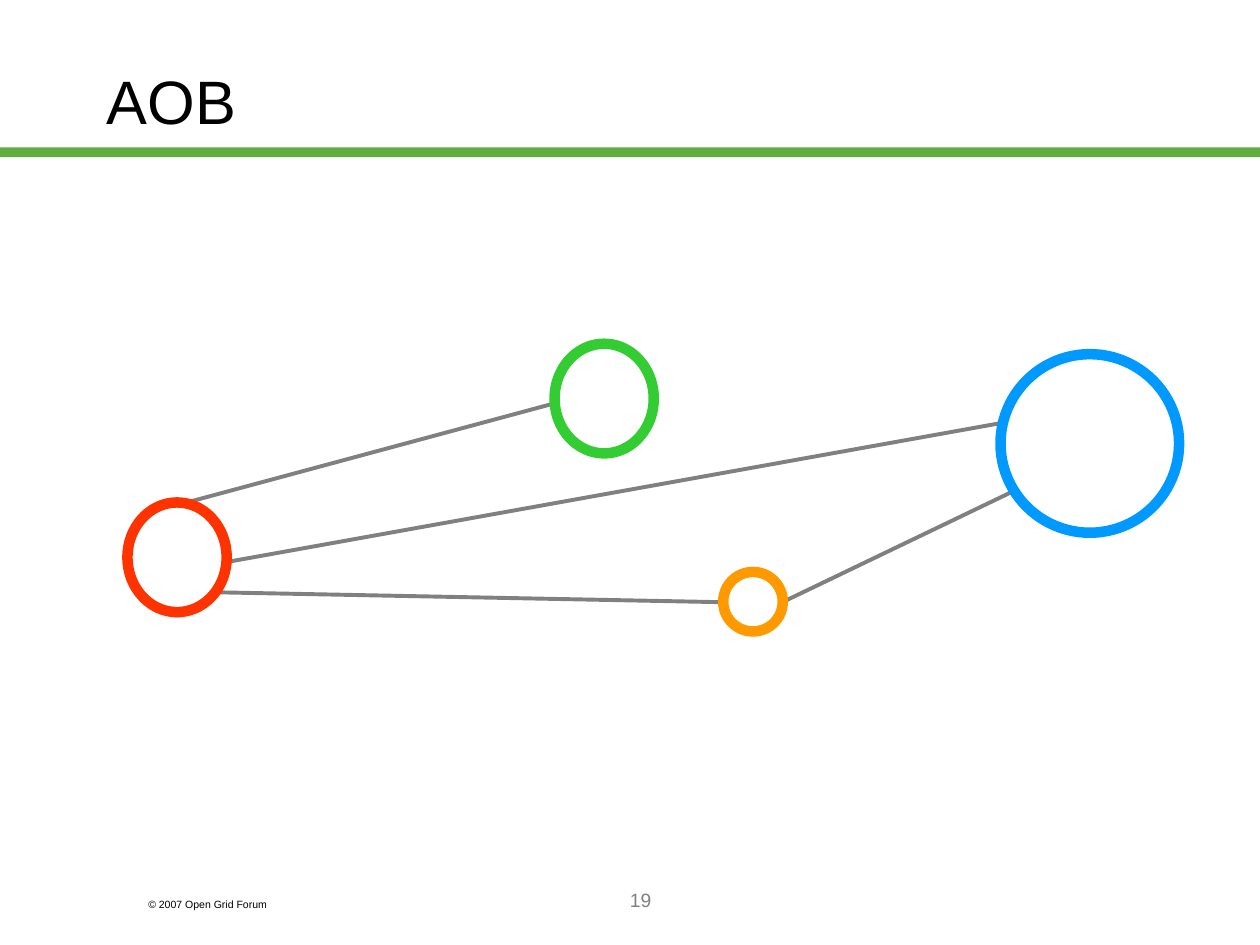
"""Build the AOB slide: a title, a network of four rings and a footer."""
from lxml import etree
from pptx import Presentation
from pptx.dml.color import RGBColor
from pptx.enum.shapes import MSO_CONNECTOR, MSO_SHAPE
from pptx.enum.text import MSO_ANCHOR, PP_ALIGN
from pptx.oxml.ns import qn
from pptx.util import Cm, Pt

COLORS = {
    "black": "000000", "white": "FFFFFF", "gray": "808080", "band": "5DAD41",
    "red": "FF3300", "blue": "0099FF", "green": "33CC33", "orange": "FF9900",
}
BAND = (0, 2.97, 25.4, 0.2)
TEXTS = [
    ("AOB", (1.9, 0.43, 21.59, 3.18), 35, "black", PP_ALIGN.LEFT, MSO_ANCHOR.MIDDLE),
    ("© 2007 Open Grid Forum", (2.74, 17.98, 3.81, 0.51), 6, "black", PP_ALIGN.LEFT, MSO_ANCHOR.TOP),
    ("19", (5.51, 17.78, 14.81, 1.27), 11, "gray", PP_ALIGN.CENTER, MSO_ANCHOR.TOP),
]
LINKS = [
    ((15.77, 12.14), (20.37, 9.93)),
    ((4.37, 11.94), (14.58, 12.14)),
    ((4.57, 11.33), (20.17, 8.53)),
    ((3.76, 10.13), (11.18, 8.13)),
]
RINGS = [
    ("red", (2.57, 10.13, 2, 2.21)),
    ("blue", (20.17, 7.14, 3.6, 3.6)),
    ("green", (11.18, 6.93, 2, 2.21)),
    ("orange", (14.58, 11.53, 1.2, 1.2)),
]


def color(name):
    return RGBColor.from_string(COLORS[name])


def lengths(values):
    return [Cm(value) for value in values]


def add_text(slide, words, place, size, ink, align, anchor):
    frame = slide.shapes.add_textbox(*lengths(place)).text_frame
    frame.word_wrap = True
    frame.vertical_anchor = anchor
    paragraph = frame.paragraphs[0]
    paragraph.text = words
    paragraph.alignment = align
    paragraph.font.name = "Arial"
    paragraph.font.size = Pt(size)
    paragraph.font.color.rgb = color(ink)


def add_filled(slide, kind, place, fill, outline=None):
    shape = slide.shapes.add_shape(kind, *lengths(place))
    shape.shadow.inherit = False
    shape.fill.solid()
    shape.fill.fore_color.rgb = color(fill)
    if outline:
        shape.line.color.rgb = color(outline)
        shape.line.width = Pt(6)
    else:
        shape.line.fill.background()


def add_link(slide, start, end):
    link = slide.shapes.add_connector(MSO_CONNECTOR.STRAIGHT, *lengths(start + end))
    link.line.color.rgb = color("gray")
    link.line.width = Pt(2.25)
    etree.SubElement(link._element.spPr, qn("a:effectLst"))


def main():
    deck = Presentation()
    deck.slide_width, deck.slide_height = Cm(25.4), Cm(19.05)
    slide = deck.slides.add_slide(deck.slide_layouts[6])
    add_filled(slide, MSO_SHAPE.RECTANGLE, BAND, "band")
    for text in TEXTS:
        add_text(slide, *text)
    for start, end in LINKS:
        add_link(slide, start, end)
    for outline, place in RINGS:
        add_filled(slide, MSO_SHAPE.OVAL, place, "white", outline)
    deck.save("out.pptx")


if __name__ == "__main__":
    main()
